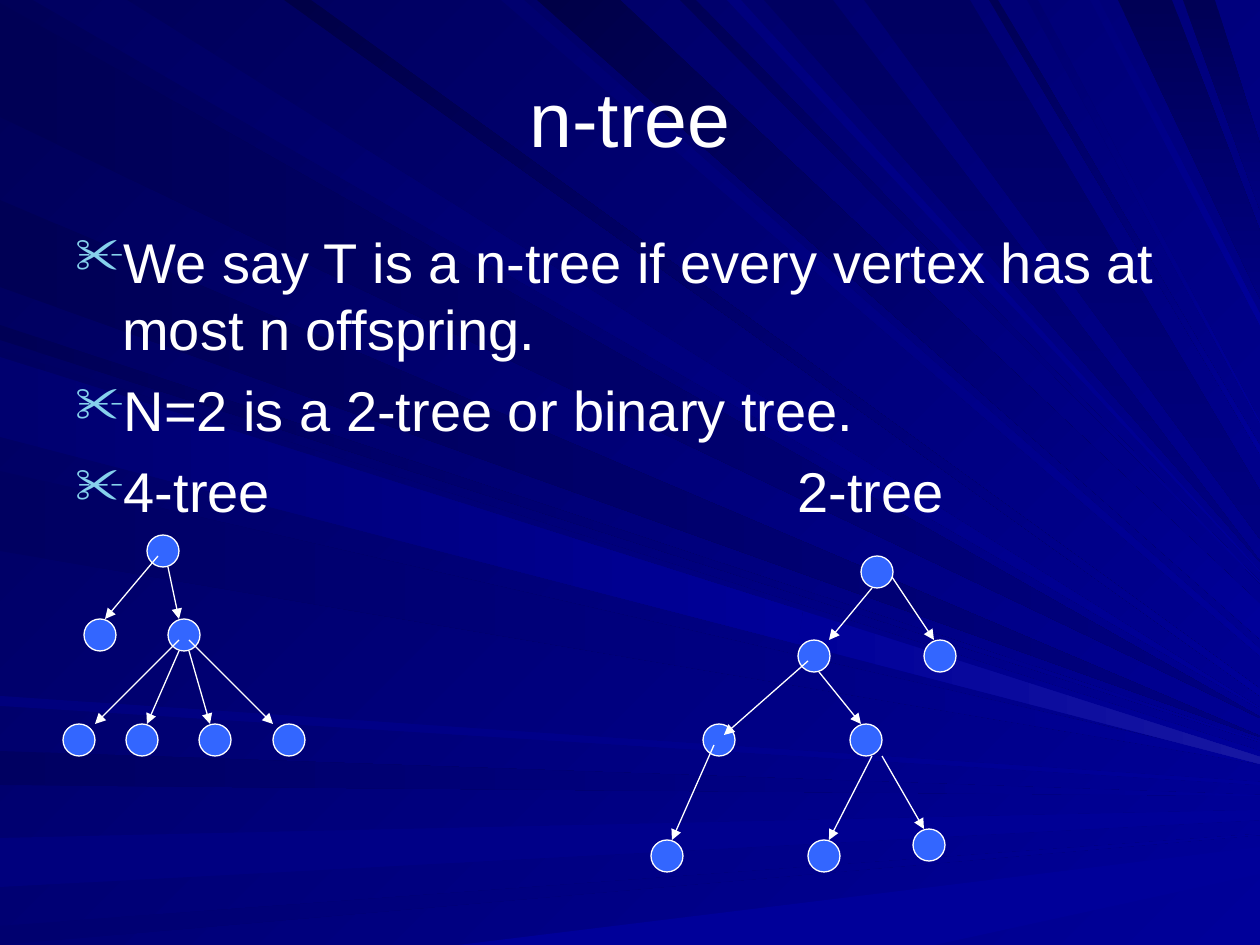
"""Build a slide that explains n-trees with a 4-tree and a 2-tree."""
from lxml.etree import SubElement
from pptx import Presentation
from pptx.dml.color import RGBColor
from pptx.enum.shapes import MSO_CONNECTOR, MSO_SHAPE
from pptx.enum.text import MSO_ANCHOR, PP_ALIGN
from pptx.oxml.ns import qn
from pptx.util import Pt

SCALE = 914400 / 126
WIDTH, HEIGHT = 1260, 945
COLORS = {"text": "FFFFFF", "bullet": "86D1EC", "node": "3366FF", "dark": "000058",
          "blue": "000099", "navy": "000080", "glow": "1717A2", "deep": "000047",
          "dusk": "000055", "night": "000061", "shade": "00006F", "soft": "00007D"}
NODE_SIZE = 32
INDENT = 47
TAB_STOP = 722

TITLE = "n-tree"
BULLETS = [
    "We say T is a n-tree if every vertex has at most n offspring.",
    "N=2 is a 2-tree or binary tree.",
    "4-tree\t2-tree",
]

RAYS = [
    ("left", "dusk", "navy", (3, 117), (717, 718)),
    ("top", "night", "blue", (127, 33), (708, 709)),
    ("left", "night", "blue", (751, 785), (795, 796)),
    ("left", "soft", "blue", (838, 887), (810, 820)),
    ("left", "shade", "blue", (926, 945), (834, 835)),
    ("bottom", "blue", "blue", (935, 459), (847, 874)),
    ("left", "dusk", "blue", (325, 340), (741, 742)),
    ("left", "dusk", "navy", (200, 287), (736, 737)),
    ("top", "shade", "blue", (524, 501), (649, 656)),
    ("top", "deep", "blue", (620, 537), (604, 639)),
    ("top", "dusk", "blue", (696, 680), (582, 583)),
    ("top", "night", "navy", (833, 764), (561, 562)),
    ("top", "dusk", "navy", (1172, 1118), (231, 299)),
    ("top", "dusk", "navy", (1215, 1183), (144, 210)),
    ("left", "night", "blue", (350, 431), (751, 759)),
    ("left", "night", "blue", (471, 551), (762, 764)),
    ("left", "soft", "blue", (696, 706), (782, 785)),
    ("top", "deep", "blue", (311, 284), (689, 696)),
    ("top", "soft", "blue", (741, 727), (571, 572)),
    ("top", "night", "navy", (970, 864), (491, 539)),
    ("top", "dusk", "blue", (998, 989), (446, 454)),
    ("top", "shade", "blue", (1038, 1027), (422, 423)),
    ("top", "soft", "blue", (1099, 1090), (314, 325)),
]
BAND = [
    ("shade", "blue", [(0, 357), (803, 611), (798, 644), (0, 437)]),
    ("blue", "glow", [(803, 611), (WIDTH, 757), (WIDTH, 764), (798, 644)]),
]

TREES = [
    {"rows": {535: [147], 619: [84, 168], 724: [63, 126, 199, 273]},
     "edges": [(158, 556, 105, 619), (168, 567, 179, 619), (179, 640, 95, 724),
               (179, 651, 147, 724), (189, 651, 210, 724), (189, 640, 273, 724)]},
    {"rows": {556: [861], 640: [798, 924], 724: [703, 850], 829: [913], 840: [651, 808]},
     "edges": [(872, 588, 829, 640), (892, 577, 934, 640), (808, 661, 724, 735),
               (819, 672, 861, 724), (714, 745, 672, 840), (872, 756, 829, 840),
               (882, 756, 924, 829)]},
]


def px(length):
    return round(length * SCALE)


def rgb(name):
    return RGBColor.from_string(COLORS[name])


def paint(fill, start, end, angle):
    if start == end:
        fill.solid()
        fill.fore_color.rgb = rgb(start)
        return
    fill.gradient()
    fill.gradient_angle = (360 - angle) % 360
    for stop, color in zip(fill.gradient_stops, (start, end)):
        stop.color.rgb = rgb(color)


def add_polygon(shapes, start, end, angle, points):
    builder = shapes.build_freeform(*points[0], scale=SCALE)
    builder.add_line_segments(points[1:], close=True)
    polygon = builder.convert_to_shape()
    polygon.shadow.inherit = False
    polygon.line.fill.background()
    paint(polygon.fill, start, end, angle)


def add_ray(shapes, side, start, end, origin, target):
    first, last = origin
    edge = {"left": [(0, first), (0, last)],
            "top": [(first, 0), (last, 0)],
            "bottom": [(first, HEIGHT), (last, HEIGHT)]}[side]
    upper, lower = target
    if side == "bottom":
        edge.reverse()
        angle = 0
    elif side == "left":
        angle = 0
    else:
        angle = 90 if end == "navy" else 45
    points = [edge[0], (WIDTH, upper), (WIDTH, lower), edge[1]]
    add_polygon(shapes, start, end, angle, points)


def add_text(slide, area, anchor):
    box = slide.shapes.add_textbox(*map(px, area))
    box.text_frame.word_wrap = True
    box.text_frame.vertical_anchor = anchor
    return box.text_frame


def style(paragraph, size):
    paragraph.font.name = "Arial"
    paragraph.font.size = Pt(size)
    paragraph.font.color.rgb = rgb("text")


def add_bullet(paragraph):
    properties = paragraph._p.get_or_add_pPr()
    properties.set("marL", str(px(INDENT)))
    properties.set("indent", str(-px(INDENT)))
    color = SubElement(properties, qn("a:buClr"))
    SubElement(color, qn("a:srgbClr"), val=COLORS["bullet"])
    SubElement(properties, qn("a:buSzPct"), val="90000")
    SubElement(properties, qn("a:buChar"), char="✂")
    if "\t" in paragraph.text:
        tabs = SubElement(properties, qn("a:tabLst"))
        SubElement(tabs, qn("a:tab"), pos=str(px(TAB_STOP)), algn="l")


def outline(line):
    line.color.rgb = rgb("text")
    line.width = Pt(0.75)


def add_tree(slide, rows, edges):
    shapes = slide.shapes.add_group_shape().shapes
    for top, lefts in rows.items():
        for left in lefts:
            area = (left, top, NODE_SIZE, NODE_SIZE)
            node = shapes.add_shape(MSO_SHAPE.OVAL, *map(px, area))
            node.shadow.inherit = False
            paint(node.fill, "node", "node", 0)
            outline(node.line)
    for ends in edges:
        edge = shapes.add_connector(MSO_CONNECTOR.STRAIGHT, *map(px, ends))
        outline(edge.line)
        SubElement(edge.line._get_or_add_ln(), qn("a:tailEnd"), type="triangle")
        SubElement(edge._element.spPr, qn("a:effectLst"))


def main():
    deck = Presentation()
    deck.slide_width, deck.slide_height = px(WIDTH), px(HEIGHT)
    slide = deck.slides.add_slide(deck.slide_layouts[6])
    paint(slide.background.fill, "dark", "blue", 45)
    backdrop = slide.shapes.add_group_shape().shapes
    for ray in RAYS:
        add_ray(backdrop, *ray)
    for start, end, points in BAND:
        add_polygon(backdrop, start, end, 0, points)

    title = add_text(slide, (63, 38, 1134, 158), MSO_ANCHOR.MIDDLE).paragraphs[0]
    title.text = TITLE
    title.alignment = PP_ALIGN.CENTER
    style(title, 44)

    body = add_text(slide, (63, 221, 1134, 624), MSO_ANCHOR.TOP)
    for index, text in enumerate(BULLETS):
        paragraph = body.add_paragraph() if index else body.paragraphs[0]
        paragraph.text = text
        add_bullet(paragraph)
        if index:
            paragraph.space_before = Pt(8)
        style(paragraph, 32)

    for tree in TREES:
        add_tree(slide, **tree)
    deck.save("out.pptx")


if __name__ == "__main__":
    main()
